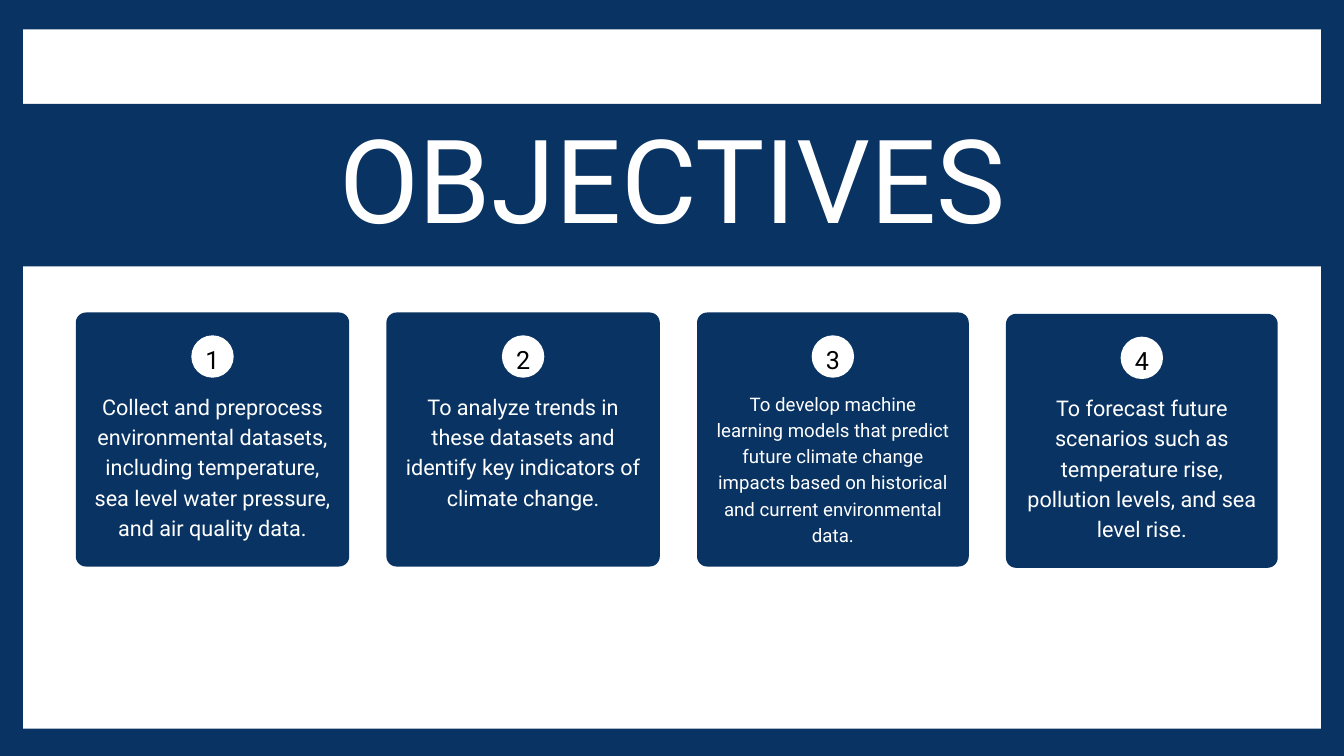
from pptx import Presentation
from pptx import util as u
from pptx.dml import color
from pptx.enum import shapes, text

NAVY, WHITE, BLACK = "093362", "FFFFFF", "000000"

deck = Presentation()
deck.slide_width, deck.slide_height = u.Pt(1440), u.Pt(810)
slide = deck.slides.add_slide(deck.slide_layouts[5])
slide.background.fill.solid()
slide.background.fill.fore_color.rgb = color.RGBColor.from_string(NAVY)


def draw(kind, left, top, width, height, fill):
    shape = slide.shapes.add_shape(kind, u.Pt(left), u.Pt(top), u.Pt(width), u.Pt(height))
    shape.shadow.inherit = False
    shape.fill.solid()
    shape.fill.fore_color.rgb = color.RGBColor.from_string(fill)
    shape.line.fill.background()
    return shape


def write(box, left, top, width, height, words, size, spacing, ink):
    box.left, box.top, box.width, box.height = u.Pt(left), u.Pt(top), u.Pt(width), u.Pt(height)
    frame = box.text_frame
    frame.text = words
    frame.word_wrap = True
    frame.auto_size = text.MSO_AUTO_SIZE.NONE
    frame.vertical_anchor = text.MSO_ANCHOR.TOP
    frame.margin_left = frame.margin_right = frame.margin_top = frame.margin_bottom = 0
    line = frame.paragraphs[0]
    line.alignment = text.PP_ALIGN.CENTER
    line.line_spacing = u.Pt(spacing)
    line.space_before = u.Pt(0)
    font = line.runs[0].font
    font.name, font.size = "Roboto", u.Pt(size)
    font.color.rgb = color.RGBColor.from_string(ink)


draw(shapes.MSO_SHAPE.RECTANGLE, 24.8, 31.4, 1390.4, 749.4, WHITE)
draw(shapes.MSO_SHAPE.RECTANGLE, 0, 111.4, 1440, 174, NAVY)

heading = slide.shapes.title
slide.shapes._spTree.append(heading._element)
write(heading, 260, 139, 921, 134.6, "OBJECTIVES", 124.6, 125.8, WHITE)

objectives = [
    (81.2, 334.8, 293, 261.4, 23.2, 32.5,
     "Collect and preprocess environmental datasets, including temperature, "
     "sea level water pressure, and air quality data."),
    (414, 334.8, 293, 252, 23.2, 32.5,
     "To analyze trends in these datasets and identify key indicators of climate change."),
    (746.8, 334.8, 291.2, 250.6, 20, 28,
     "To develop machine learning models that predict future climate change "
     "impacts based on historical and current environmental data."),
    (1077.8, 336.2, 291.2, 250.6, 23.2, 32.5,
     "To forecast future scenarios such as temperature rise, pollution levels, "
     "and sea level rise."),
]
card_height, badge_size, number_width = 272.2, 45.4, 32.4

for number, (left, top, width, goal_width, size, spacing, goal) in enumerate(objectives, 1):
    center = left + width / 2
    card = draw(shapes.MSO_SHAPE.ROUNDED_RECTANGLE, left, top, width, card_height, NAVY)
    card.adjustments[0] = 0.04
    draw(shapes.MSO_SHAPE.OVAL, center - badge_size / 2, top + 24.5, badge_size, badge_size, WHITE)
    write(slide.shapes.add_textbox(0, 0, 0, 0), center - number_width / 2, top + 23.8,
          number_width, 39.6, str(number), 26.9, 42.3, BLACK)
    write(slide.shapes.add_textbox(0, 0, 0, 0), center - goal_width / 2, top + 82.1,
          goal_width, 190, goal, size, spacing, WHITE)

deck.save("out.pptx")
